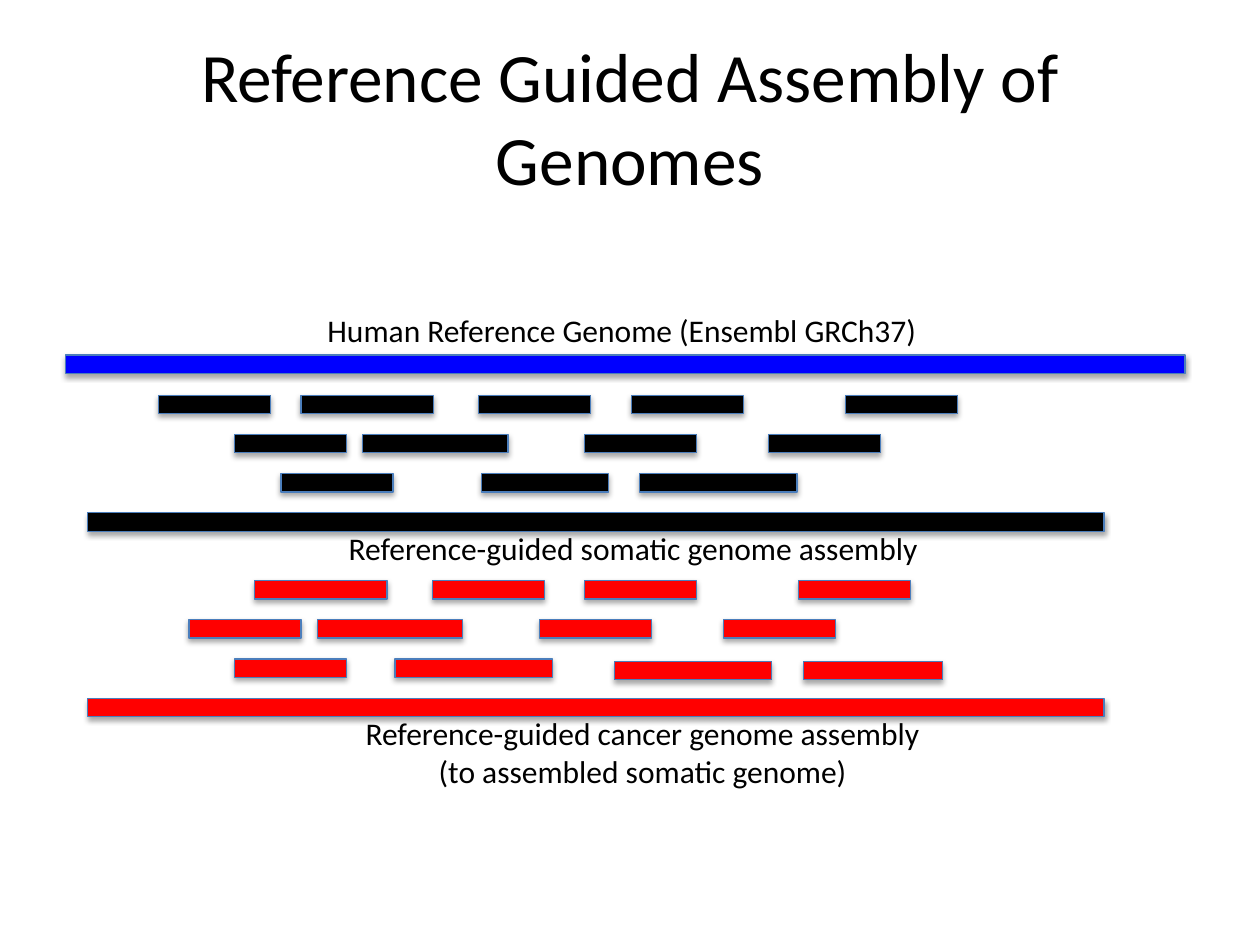
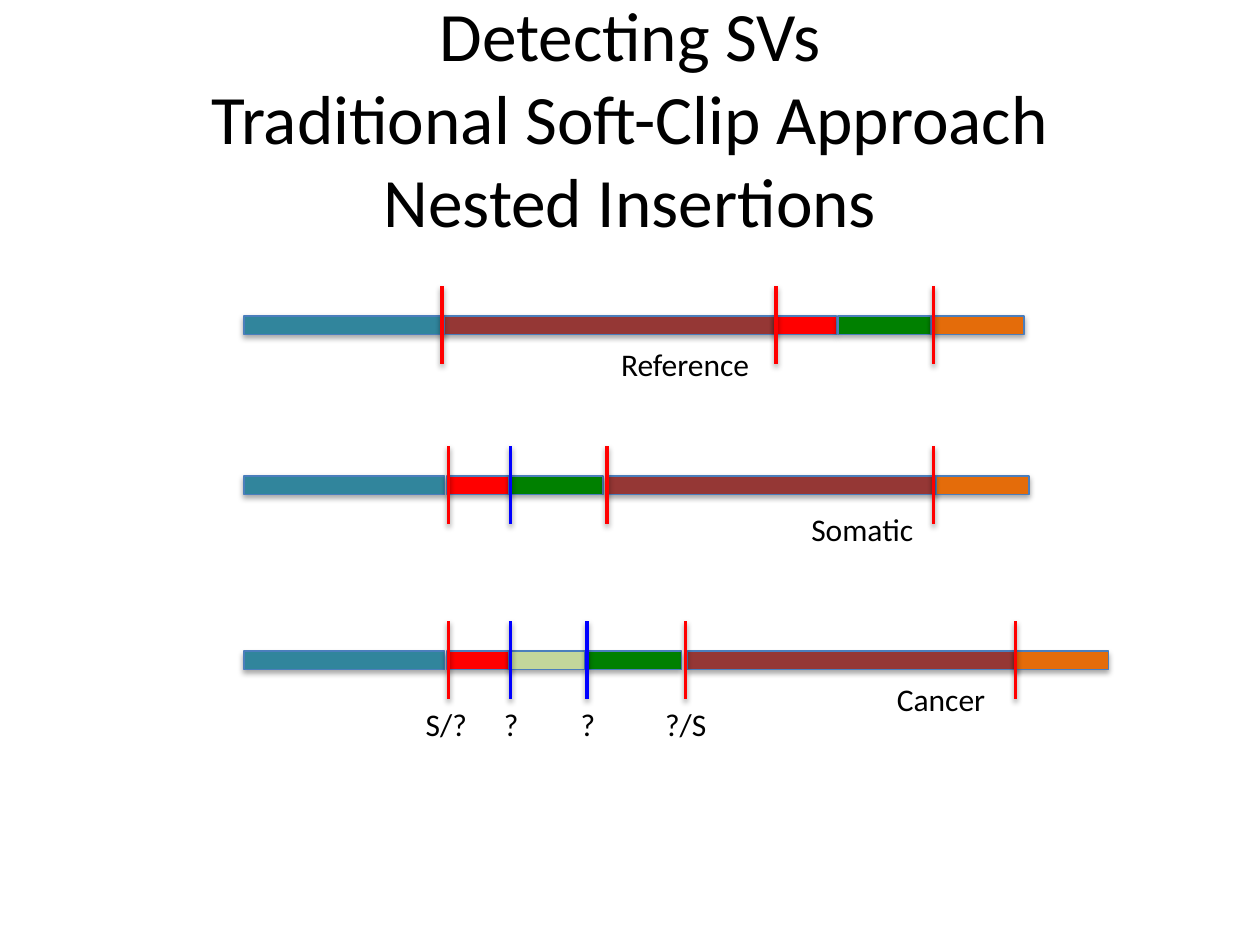
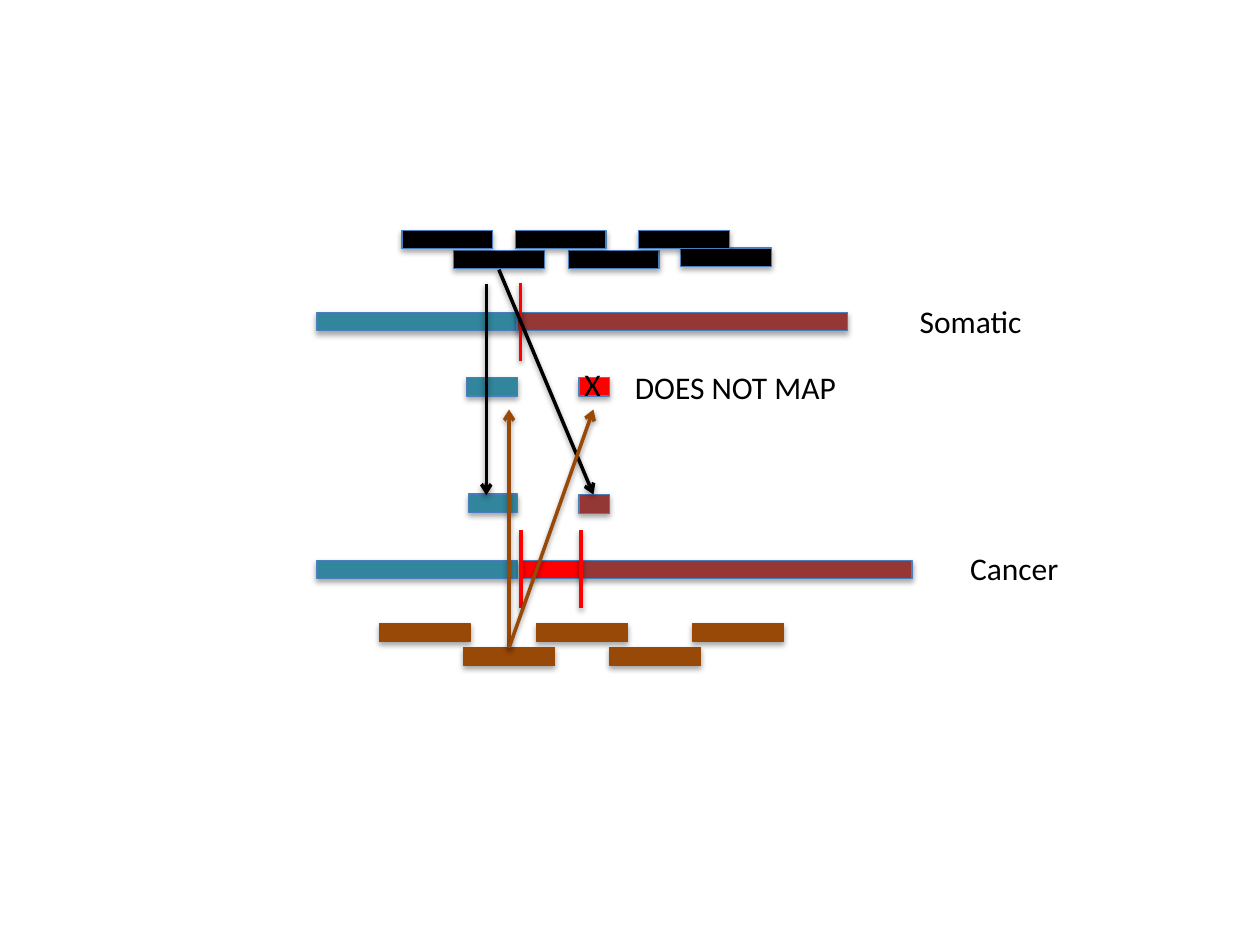
"""Genome assembly and structural variant diagrams on three slides."""
from pptx import Presentation
from pptx import util as u
from pptx.dml.color import RGBColor
from pptx.enum import shapes, text
from pptx.oxml import ns
from lxml import etree

BLACK = RGBColor(0x00, 0x00, 0x00)
RED = RGBColor(0xFF, 0x00, 0x00)
BLUE = RGBColor(0x00, 0x00, 0xFF)
TEAL = RGBColor(0x31, 0x85, 0x9C)
MAROON = RGBColor(0x95, 0x37, 0x35)
GREEN = RGBColor(0x00, 0x80, 0x00)
LIME = RGBColor(0xC3, 0xD6, 0x9B)
ORANGE = RGBColor(0xE4, 0x6C, 0x0A)
BROWN = RGBColor(0x98, 0x48, 0x07)
OUTLINE = RGBColor(0x4B, 0x7E, 0xBC)

TITLE_FONT = {"name": "Calibri", "size": u.Pt(39.6)}
LABEL_FONT = {"name": "Calibri", "size": u.Pt(18)}
TITLE_ONLY, BLANK = 5, 6
BAR_BOX = 44.64
BAR_SHARE = 0.735
ROW_PITCH = 22.4
READ = 51.9
FRAGMENT_LENGTHS = {TEAL: 114.5, MAROON: 188.9, RED: 35.4,
                    GREEN: 52.9, LIME: 42.9, ORANGE: 52.9}


def apply_font(paragraph, values):
    """Set the font values and black colour of a paragraph."""
    for key, value in values.items():
        setattr(paragraph.font, key, value)
    paragraph.font.color.rgb = BLACK


def add_slide(prs, title=None):
    """Add a slide, with a title when one is given."""
    slide = prs.slides.add_slide(prs.slide_layouts[TITLE_ONLY if title else BLANK])
    if title:
        heading = slide.shapes.title
        places = {"left": 36, "top": 21.6, "width": 648, "height": 90}
        for key, value in places.items():
            setattr(heading, key, u.Pt(value))
        heading.text_frame.text = title
        apply_font(heading.text_frame.paragraphs[0], TITLE_FONT)
    return slide


def add_label(slide, words, left, top, width, height=28.8,
              align=text.PP_ALIGN.LEFT):
    """Add an unwrapped label that grows with its words."""
    frame = slide.shapes.add_textbox(*map(u.Pt, (left, top, width, height))).text_frame
    frame.text = words
    frame.word_wrap = False
    frame.auto_size = text.MSO_AUTO_SIZE.SHAPE_TO_FIT_TEXT
    for paragraph in frame.paragraphs:
        paragraph.alignment = align
        apply_font(paragraph, LABEL_FONT)


def add_bar(slide, left, middle, length, color, outline=OUTLINE):
    """Draw a sequence bar from its visible left end, middle line and length."""
    width = length / BAR_SHARE
    bar = slide.shapes.add_shape(
        shapes.MSO_SHAPE.MATH_MINUS, u.Pt(left - (width - length) / 2),
        u.Pt(middle - BAR_BOX / 2), u.Pt(width), u.Pt(BAR_BOX))
    bar.fill.solid()
    bar.fill.fore_color.rgb = color
    bar.line.color.rgb = outline
    bar.line.width = u.Pt(0.75)


def add_line(slide, start, end, color, arrow=False):
    """Draw a straight line, optionally with an arrowhead at its end."""
    line = slide.shapes.add_connector(
        shapes.MSO_CONNECTOR.STRAIGHT, *map(u.Pt, (*start, *end)))
    line.line.color.rgb = color
    line.line.width = u.Pt(2)
    if arrow:
        outline = line._element.spPr.find(ns.qn("a:ln"))
        etree.SubElement(outline, ns.qn("a:tailEnd"), type="arrow")


def add_assembly(slide, left, top, color, rows):
    """Draw rows of reads above the genome assembled from them."""
    for index, row in enumerate([*rows, [(0, 581)]]):
        for start, length, *drop in row:
            add_bar(slide, left + start, top + index * ROW_PITCH + sum(drop),
                    length, color)


def add_track(slide, left, middle, fragments, breakpoints):
    """Draw a genome track of coloured fragments crossed by breakpoints."""
    for color, start in fragments:
        add_bar(slide, left + start, middle, FRAGMENT_LENGTHS[color], color)
    for color, offset in breakpoints:
        x = left + offset
        add_line(slide, (x, middle - BAR_BOX / 2), (x, middle + BAR_BOX / 2), color)


def add_reads(slide, left, top, rows, color, outline):
    """Draw staggered rows of equally long reads."""
    for drop, starts in rows:
        for start in starts:
            add_bar(slide, left + start, top + drop, READ, color, outline)


def build_assembly_slide(prs):
    """Show somatic and cancer genomes assembled against a reference."""
    slide = add_slide(prs, "Reference Guided Assembly of Genomes")
    add_label(slide, "Human Reference Genome (Ensembl GRCh37)", 180, 174.2, 354.2)
    add_bar(slide, 37.6, 208.1, 639.7, BLUE)
    add_assembly(slide, 50, 231.1, BLACK, [
        [(40.7, 64), (122, 75.7), (223.6, 64), (310.8, 64), (433.2, 64)],
        [(84, 64), (157.2, 83.1), (284.1, 64), (389.2, 64)],
        [(110.6, 64), (225.2, 72.5), (315.4, 90)],
    ])
    add_label(slide, "Reference-guided somatic genome assembly", 192.2, 298.8, 343.4)
    add_assembly(slide, 50, 337, RED, [
        [(95.4, 75.7), (197, 64), (284.1, 64), (406.5, 64)],
        [(58, 64), (131.3, 83.1), (258.2, 64), (363.3, 64)],
        [(84, 64), (175.7, 90), (301, 90, 1.4), (409.3, 79.4, 1.4)],
    ])
    add_label(slide, "Reference-guided cancer genome assembly\n"
              "(to assembled somatic genome)",
              200.2, 404.6, 334.1, 51.1, text.PP_ALIGN.CENTER)


def build_insertions_slide(prs):
    """Compare the three genomes' fragments around nested insertions."""
    slide = add_slide(
        prs, "Detecting SVs\vTraditional Soft-Clip Approach\vNested Insertions")
    left = 139.4
    add_track(slide, left, 185.8,
              [(TEAL, 0), (MAROON, 114.3), (RED, 303.3), (GREEN, 339.5),
               (ORANGE, 392.8)],
              [(RED, 113.3), (RED, 304.1), (RED, 394.1)])
    add_track(slide, left, 277.2,
              [(TEAL, 0), (RED, 116.1), (GREEN, 152.3), (MAROON, 206.5),
               (ORANGE, 395.7)],
              [(RED, 116.9), (BLUE, 152.2), (RED, 207.6), (RED, 394.1)])
    add_track(slide, left, 377.3,
              [(TEAL, 0), (RED, 116.1), (GREEN, 197), (MAROON, 253.3),
               (LIME, 152), (ORANGE, 441.1)],
              [(RED, 116.9), (BLUE, 152.2), (BLUE, 196.1), (RED, 252.3),
               (RED, 440.9)])
    for words, x, y, width in (("Reference", 347.8, 193.7, 88.6),
                               ("Somatic", 456.5, 288, 73.4),
                               ("Cancer", 505.4, 385.2, 65.5),
                               ("S/?", 236.2, 399.6, 38.2),
                               ("?", 280.8, 399.6, 23),
                               ("?", 324.7, 399.6, 23),
                               ("?/S", 373, 399.6, 38.2)):
        add_label(slide, words, x, y, width)


def build_mapping_slide(prs):
    """Show which read parts map between the somatic and cancer genomes."""
    slide = add_slide(prs)
    left = 181.2
    add_track(slide, left, 325.4, [(TEAL, 0), (RED, 116.1), (MAROON, 151)],
              [(RED, 116.5), (RED, 150.7)])
    add_track(slide, left, 183.8, [(TEAL, 0), (MAROON, 114.3)], [(RED, 116.2)])
    for start, middle, length, color in ((266.6, 221, 29.1, TEAL),
                                         (330.8, 221, 17.5, RED),
                                         (267.9, 287.6, 28, TEAL),
                                         (330.8, 288, 17.5, MAROON)):
        add_bar(slide, start, middle, length, color)
    add_reads(slide, 229.7, 136.8,
              [(11.5, (29.5, 95)), (10.1, (159.1,)), (0, (0, 64.8, 135.3))],
              BLACK, OUTLINE)
    add_reads(slide, 216.7, 361.4, [(0, (0, 90, 179.3)), (13.7, (48.3, 131.8))],
              BROWN, BROWN)
    for start, end, color in (((277.9, 162), (277.9, 283), BLACK),
                              ((285.1, 154.1), (339.1, 282.6), BLACK),
                              ((290.9, 370.1), (290.9, 234), BROWN),
                              ((290.9, 370.1), (339.1, 234), BROWN)):
        add_line(slide, start, end, color, arrow=True)
    for words, x, y, width in (("Somatic", 518.4, 169.2, 73.4),
                               ("Cancer", 547.2, 310.3, 65.5),
                               ("X", 326.9, 205.2, 23.8),
                               ("DOES NOT MAP", 355.7, 206.6, 130.3)):
        add_label(slide, words, x, y, width)


def main():
    """Build and save the presentation."""
    prs = Presentation()
    prs.slide_width, prs.slide_height = u.Pt(720), u.Pt(540)
    for build in (build_assembly_slide, build_insertions_slide, build_mapping_slide):
        build(prs)
    prs.save("out.pptx")


if __name__ == "__main__":
    main()
